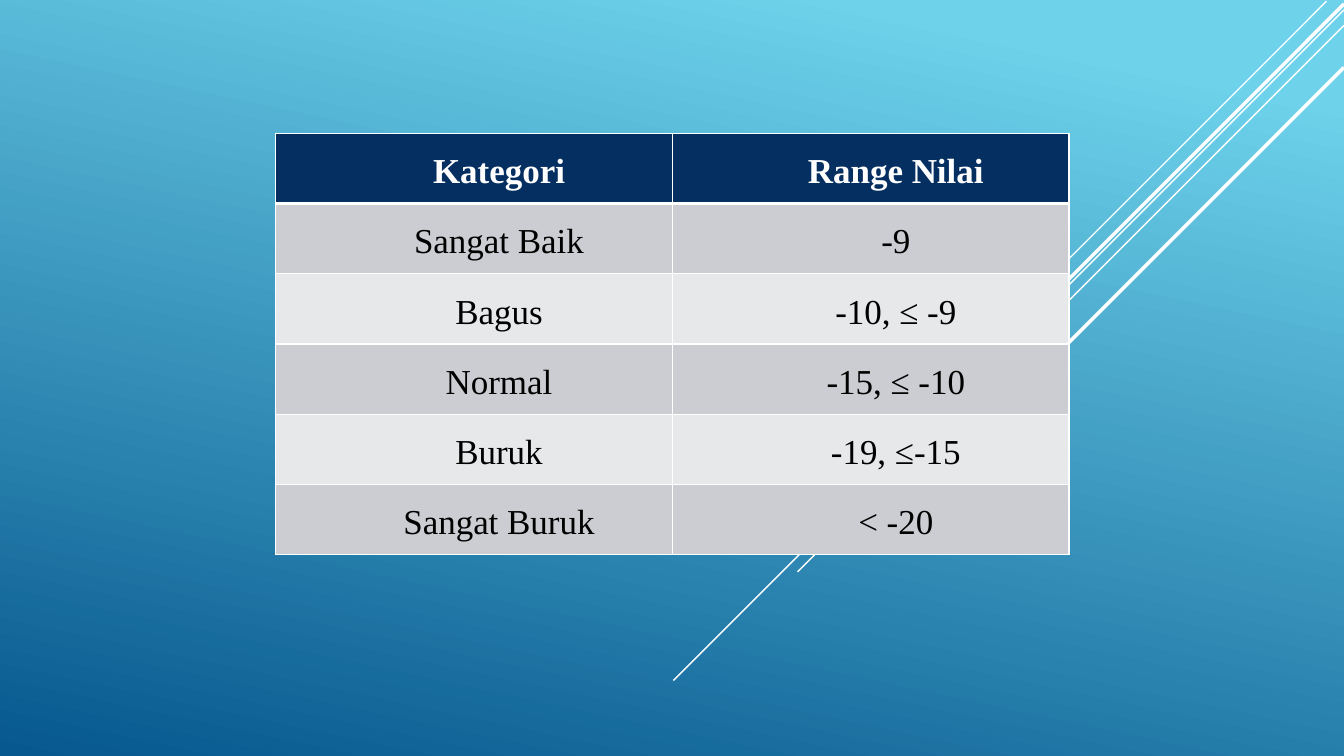
from lxml import etree
from pptx import Presentation
from pptx.dml.color import RGBColor
from pptx.enum import shapes, text
from pptx.oxml.ns import qn
from pptx.util import Cm, Pt

ROWS = [
    ("Kategori", "Range Nilai"),
    ("Sangat Baik", "-9"),
    ("Bagus", "-10, ≤ -9"),
    ("Normal", "-15, ≤ -10"),
    ("Buruk", "-19, ≤-15"),
    ("Sangat Buruk", "< -20"),
]
# Diagonal rays: right end x, y, then the run to the lower left (cm), width (pt)
RAYS = [
    (33.43, 0.03, 10.58, 1),
    (33.87, 0.25, 16.9, 1),
    (33.87, 0.64, 13.77, 1),
    (33.87, 0.1, 13.48, 2.5),
    (33.87, 1.7, 12.07, 2.5),
]
SKY = [(0.1, "6ED2EB"), (1, "06588E")]
WHITE, BLACK, NAVY = "FFFFFF", "000000", "052F61"
BANDS = ["E7E8EA", "CCCDD2"]
LEFT, TOP, COL, ROW = 6.94, 3.36, 10, 1.77


def rgb(code):
    return RGBColor.from_string(code)


def draw_ray(slide, x, y, run, width):
    ray = slide.shapes.add_connector(
        shapes.MSO_CONNECTOR.STRAIGHT, Cm(x), Cm(y), Cm(x - run), Cm(y + run))
    ray.line.color.rgb = rgb(WHITE)
    ray.line.width = Pt(width)
    etree.SubElement(ray._element.spPr, qn("a:effectLst"))


def edge_cell(cell, row):
    """Draw white borders, thicker between the header and the body."""
    props = cell._tc.get_or_add_tcPr()
    thick = {(0, "lnB"), (1, "lnT")}
    for i, side in enumerate(("lnL", "lnR", "lnT", "lnB")):
        width = Pt(3 if (row, side) in thick else 1)
        line = etree.Element(qn("a:" + side), w=str(width))
        fill = etree.SubElement(line, qn("a:solidFill"))
        etree.SubElement(fill, qn("a:srgbClr"), val=WHITE)
        props.insert(i, line)


def fill_cell(cell, row, words):
    head = row == 0
    cell.fill.solid()
    cell.fill.fore_color.rgb = rgb(NAVY if head else BANDS[row % 2])
    cell.margin_left = cell.margin_right = Cm(0.18)
    cell.margin_top = cell.margin_bottom = 0
    para = cell.text_frame.paragraphs[0]
    para.alignment = text.PP_ALIGN.CENTER
    para.line_spacing = 1.5
    props = para._p.get_or_add_pPr()
    props.set("marL", str(Cm(1.27)))
    props.set("indent", "0")
    run = para.add_run()
    run.text = words
    font = run.font
    font.name, font.size, font.bold = "Times New Roman", Pt(25), head
    font.color.rgb = rgb(WHITE if head else BLACK)
    edge_cell(cell, row)


def main():
    deck = Presentation()
    deck.slide_width, deck.slide_height = Cm(33.87), Cm(19.05)
    slide = deck.slides.add_slide(deck.slide_layouts[6])

    back = slide.background.fill
    back.gradient()
    back.gradient_angle = 258
    for stop, (place, code) in zip(back.gradient_stops, SKY):
        stop.position = place
        stop.color.rgb = rgb(code)

    for ray in RAYS:
        draw_ray(slide, *ray)

    count = len(ROWS)
    table = slide.shapes.add_table(
        count, 2, Cm(LEFT), Cm(TOP), Cm(2 * COL), Cm(count * ROW)).table
    for col in table.columns:
        col.width = Cm(COL)
    for r, line in enumerate(ROWS):
        table.rows[r].height = Cm(ROW)
        for c, words in enumerate(line):
            fill_cell(table.cell(r, c), r, words)

    deck.save("out.pptx")


if __name__ == "__main__":
    main()
